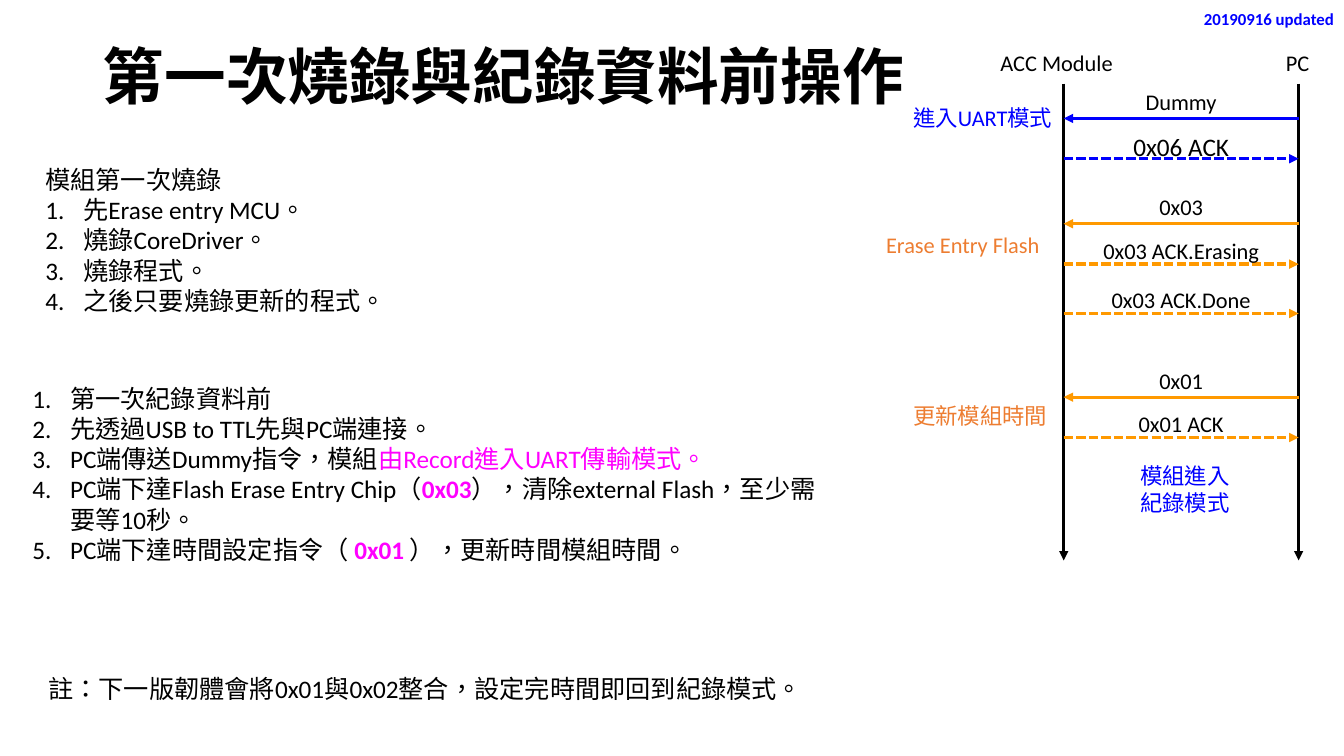
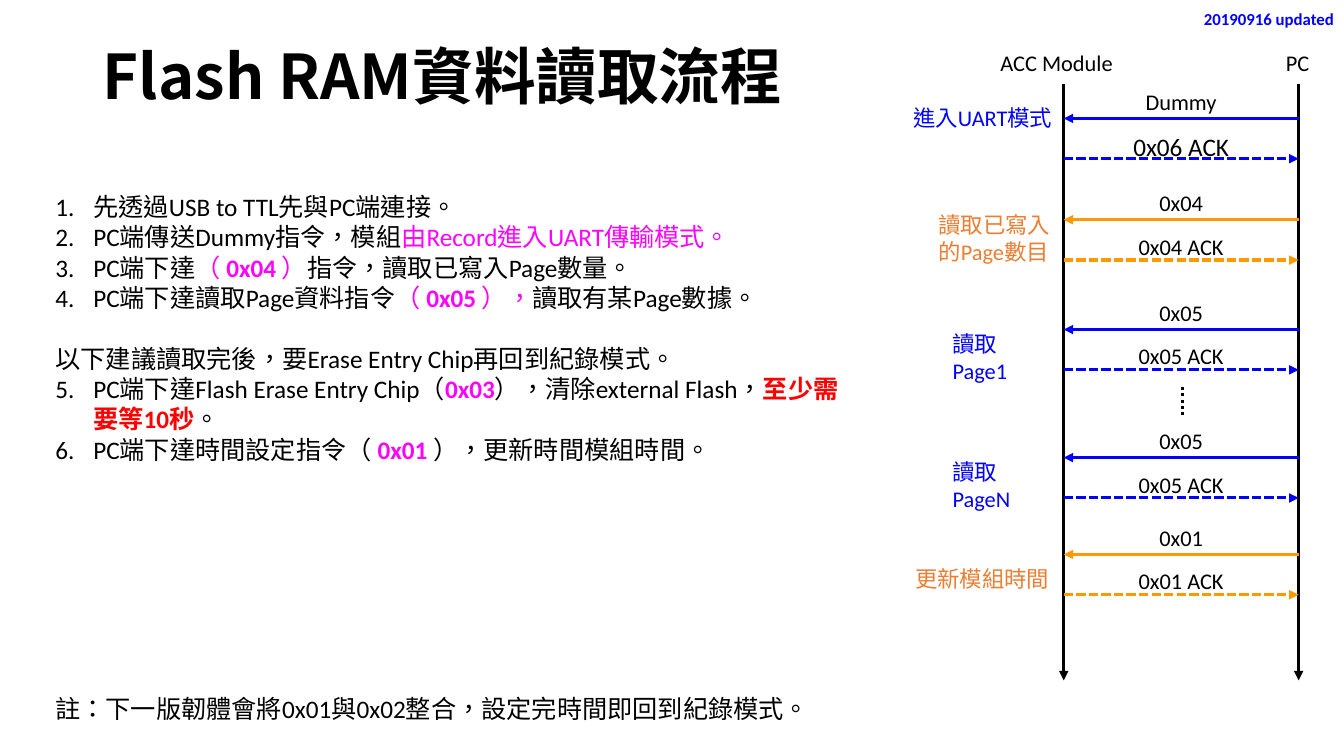
import pptx
import pptx.dml.color
import pptx.enum.dml
import pptx.enum.shapes
import pptx.enum.text
import pptx.oxml
import pptx.oxml.ns
import pptx.util

PP = pptx.enum.text.PP_ALIGN
DASH = pptx.enum.dml.MSO_LINE
BLACK, BLUE, ORANGE, LABEL_ORANGE = "000000", "0000FF", "FF9900", "ED7D31"
PINK, RED = "FF00FF", "FF0000"
BODY_FONT, TITLE_FONT = "Calibri", "Noto Sans CJK SC"

# Grid of 133.3 columns by 75 rows, each a tenth of an inch
COLS, ROWS = 133.3, 75
MODULE_X, PC_X = 105.5, 128.8
LANE_MID = (MODULE_X + PC_X) / 2
LIFELINE_TOP = 8.3
REPLY_GAP = 4

USB_STEP = [("先透過USB to TTL先與PC端連接。",)]
DUMMY_STEP = [("PC端傳送Dummy指令，模組",), ("由Record進入UART傳輸模式。", PINK)]
ERASE_START = [("PC端下達Flash Erase Entry Chip（",), ("0x03", PINK, True)]
TIME_STEP = [("PC端下達時間設定指令（",), (" 0x01 ", PINK, True),
             ("），更新時間模組時間。",)]
NOTE = "註：下一版韌體會將0x01與0x02整合，設定完時間即回到紀錄模式。"


def cell(n):
    return pptx.util.Inches(round(n / 10, 3))


def color(value):
    return pptx.dml.color.RGBColor.from_string(value)


def child(parent, tag, **attrs):
    el = pptx.oxml.parse_xml(
        "<a:%s %s/>" % (tag, pptx.oxml.ns.nsdecls("a")))
    for name, value in attrs.items():
        el.set(name, value)
    parent.append(el)
    return el


def add_run(p, text, fill=BLACK, bold=False, size=18, font=BODY_FONT):
    r = p.add_run()
    r.text = text
    r.font.size = pptx.util.Pt(size)
    r.font.bold = bold
    r.font.name = font
    r.font.color.rgb = color(fill)
    rPr = r._r.get_or_add_rPr()
    rPr.set("lang", "zh-TW")
    child(rPr, "ea", typeface=font)


def place(sp, left, top, width, height):
    sp.left, sp.top, sp.width, sp.height = map(cell, (left, top, width, height))


def add_text(slide, text, left, top, width, height=3.7, fill=BLACK, size=16,
             bold=False, wrap=True, align=PP.LEFT):
    sp = slide.shapes.add_textbox(*map(cell, (left, top, width, height)))
    tf = sp.text_frame
    tf.word_wrap = wrap
    p = tf.paragraphs[0]
    p.alignment = align
    add_run(p, text, fill, bold, size)
    return tf


def add_centred(slide, text, mid, top, size=16):
    """Place a one-line label around a column, its width following its length."""
    width = 3 + 1.2 * len(text) * size / 16
    add_text(slide, text, mid - width / 2, top, width, size=size,
             wrap=False, align=PP.CENTER)


def add_line(slide, x1, y1, x2, y2, fill=BLACK, dash=None, arrow=True):
    cx = slide.shapes.add_connector(
        pptx.enum.shapes.MSO_CONNECTOR.STRAIGHT, *map(cell, (x1, y1, x2, y2)))
    cx.line.width = pptx.util.Pt(2.25)
    cx.line.color.rgb = color(fill)
    if dash:
        cx.line.dash_style = dash
    if arrow:
        child(cx.line._get_or_add_ln(), "tailEnd", type="triangle")
    child(cx._element.spPr, "effectLst")


def add_request(slide, y, text, fill):
    add_line(slide, PC_X, y, MODULE_X, y, fill)
    add_centred(slide, text, LANE_MID, y - 3.5)


def add_reply(slide, y, text, fill, size=16):
    add_line(slide, MODULE_X, y, PC_X, y, fill, DASH.SQUARE_DOT)
    add_centred(slide, text, LANE_MID, y - 3.2, size)


def add_exchange(slide, y, request, reply, fill, reply_size=16):
    add_request(slide, y, request, fill)
    add_reply(slide, y + REPLY_GAP, reply, fill, reply_size)


def add_lifelines(slide, bottom):
    """Draw both participants and the opening exchange."""
    for name, x, mid in (("ACC Module", MODULE_X, 104.8), ("PC", PC_X, 128.7)):
        add_line(slide, x, LIFELINE_TOP, x, bottom)
        add_centred(slide, name, mid, 4.4)
    add_exchange(slide, 11.75, "Dummy", "0x06 ACK", BLUE, 18)
    add_text(slide, "進入UART模式", 89.6, 9.8, 16, fill=BLUE)


def fill_list(sp, box, paragraphs):
    """Write paragraphs given as (first number or None, runs, points before)."""
    place(sp, *box)
    tf = sp.text_frame
    tf.word_wrap = True
    tf.auto_size = pptx.enum.text.MSO_AUTO_SIZE.NONE
    for i, (start, runs, before) in enumerate(paragraphs):
        p = tf.add_paragraph() if i else tf.paragraphs[0]
        p.alignment = PP.LEFT
        p.space_before = pptx.util.Pt(before)
        pPr = p._p.get_or_add_pPr()
        indent = cell(3.75) if start else 0
        pPr.set("marL", str(indent))
        pPr.set("indent", str(-indent))
        if start:
            bullet = child(pPr, "buAutoNum", type="arabicPeriod")
            if start > 1:
                bullet.set("startAt", str(start))
        else:
            child(pPr, "buNone")
        for run in runs:
            add_run(p, *run)


def numbered(steps, start=1):
    return [(start, runs, 0) for runs in steps]


def heading(text, before=0):
    return [(None, [(text,)], before)]


def start_slide(prs, layout, title):
    slide = prs.slides.add_slide(prs.slide_layouts[layout])
    sp = slide.shapes.title
    place(sp, 9.2, 0.6, 115, 14.5)
    tf = sp.text_frame
    tf.word_wrap = True
    tf.auto_size = pptx.enum.text.MSO_AUTO_SIZE.NONE
    tf.vertical_anchor = pptx.enum.text.MSO_ANCHOR.MIDDLE
    p = tf.paragraphs[0]
    p.alignment = PP.LEFT
    p.line_spacing = 0.9
    add_run(p, title, bold=True, size=44, font=TITLE_FONT)
    tf = add_text(slide, "20190916 updated", 119.4, 0.9, 13.9, 2, BLUE, 12, True)
    tf.margin_left = tf.margin_right = tf.margin_top = tf.margin_bottom = 0
    tf.vertical_anchor = pptx.enum.text.MSO_ANCHOR.MIDDLE
    return slide


def add_note(slide, left, top):
    add_text(slide, NOTE, left, top, 80, 4, size=18, wrap=False)


def build_first_use(prs):
    slide = start_slide(prs, 3, "第一次燒錄與紀錄資料前操作")
    flashing = ("先Erase entry MCU。", "燒錄CoreDriver。", "燒錄程式。",
                "之後只要燒錄更新的程式。")
    fill_list(slide.placeholders[1], (3.5, 15.8, 36.1, 16.2),
              heading("模組第一次燒錄") + numbered([[(s,)] for s in flashing]))
    fill_list(slide.placeholders[2], (2.2, 37.5, 81.6, 22.2), numbered([
        [("第一次紀錄資料前",)],
        USB_STEP,
        DUMMY_STEP,
        ERASE_START + [("），清除external Flash，至少需要等10秒。",)],
        TIME_STEP]))
    add_note(slide, 3.8, 66.3)

    add_lifelines(slide, 55.6)
    add_exchange(slide, 22.2, "0x03", "0x03 ACK.Erasing", ORANGE)
    add_reply(slide, 31.1, "0x03 ACK.Done", ORANGE)
    add_exchange(slide, 39.4, "0x01", "0x01 ACK", ORANGE)
    add_text(slide, "Erase Entry Flash", 86.9, 22.4, 18.4, fill=LABEL_ORANGE)
    add_text(slide, "更新模組時間", 89.6, 39.4, 15.9, fill=LABEL_ORANGE)
    add_text(slide, "模組進入紀錄模式", 112.1, 45.4, 11.7, 6.4, BLUE)


def build_reading(prs):
    slide = start_slide(prs, 1, "Flash RAM資料讀取流程")
    reading = numbered([
        USB_STEP,
        DUMMY_STEP,
        [("PC端下達",), ("（", PINK), (" 0x04 ", PINK, True), ("）", PINK),
         ("指令，讀取已寫入Page數量。",)],
        [("PC端下達讀取Page資料指令",), ("（", PINK), (" 0x05 ", PINK, True),
         ("），", PINK), ("讀取有某Page數據。",)]])
    erasing = numbered([
        ERASE_START + [("），清除external Flash，",),
                       ("至少需要等10秒", RED, True), ("。",)],
        TIME_STEP], start=5)
    advice = heading("以下建議讀取完後，要Erase Entry Chip再回到紀錄模式。", 22)
    fill_list(slide.placeholders[1], (4.5, 18.5, 81.6, 28.3),
              reading + advice + erasing)
    add_note(slide, 4.5, 68.3)

    add_lifelines(slide, 67.5)
    for y, code, fill in ((21.8, "0x04", ORANGE), (32.7, "0x05", BLUE),
                          (45.4, "0x05", BLUE), (55, "0x01", ORANGE)):
        add_exchange(slide, y, code, code + " ACK", fill)
    add_line(slide, 117.3, 38.4, 117.3, 41.5, dash=DASH.ROUND_DOT, arrow=False)
    add_text(slide, "讀取已寫入的Page數目", 92.1, 20.5, 14.8, 6.4, LABEL_ORANGE)
    for y, page in ((32.3, "讀取Page1"), (45, "讀取PageN")):
        add_text(slide, page, 93.5, y, 11, fill=BLUE)
    add_text(slide, "更新模組時間", 89.8, 55.6, 15.9, fill=LABEL_ORANGE)


def main():
    prs = pptx.Presentation()
    prs.slide_width, prs.slide_height = cell(COLS), cell(ROWS)
    build_first_use(prs)
    build_reading(prs)
    prs.save("out.pptx")


if __name__ == "__main__":
    main()
